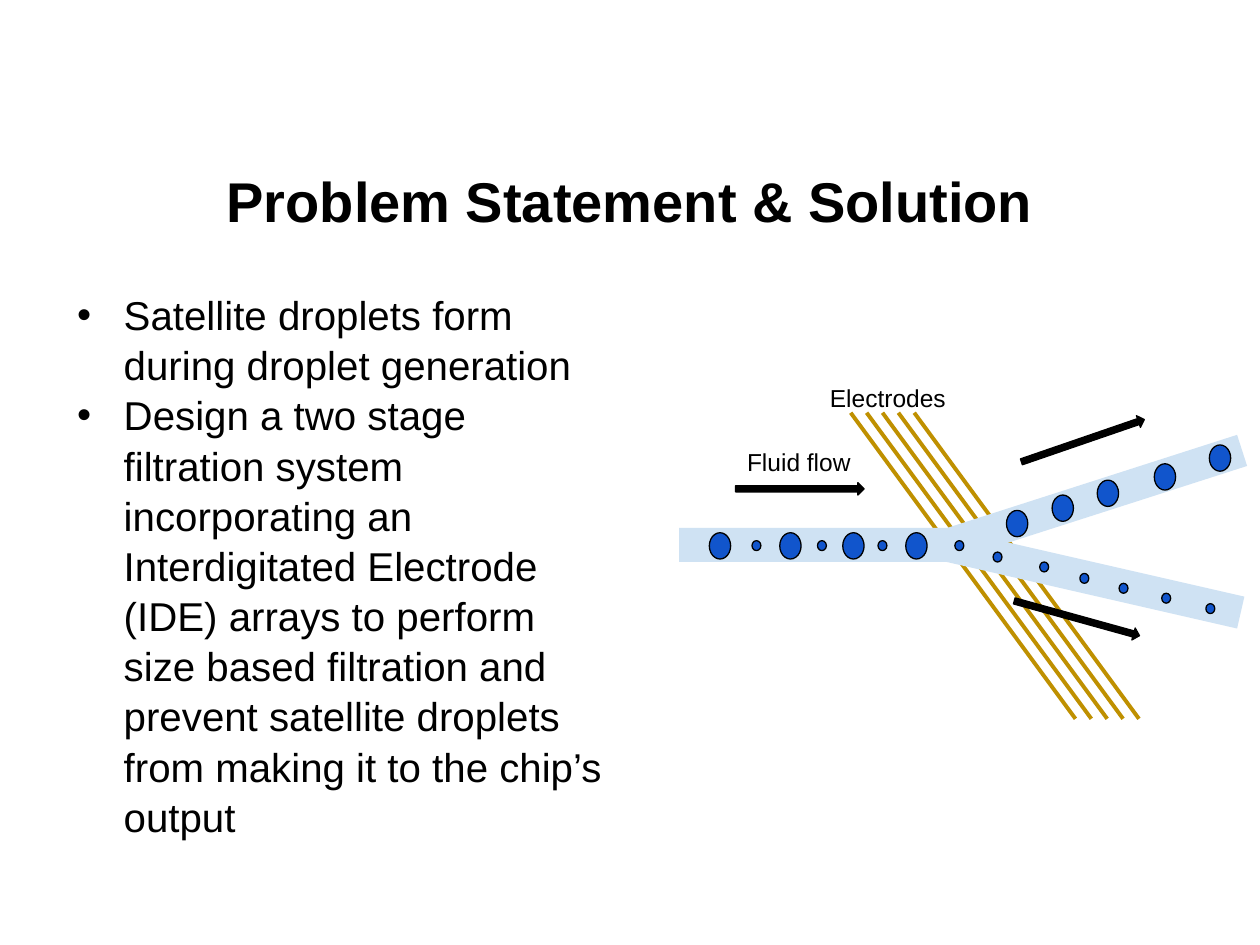
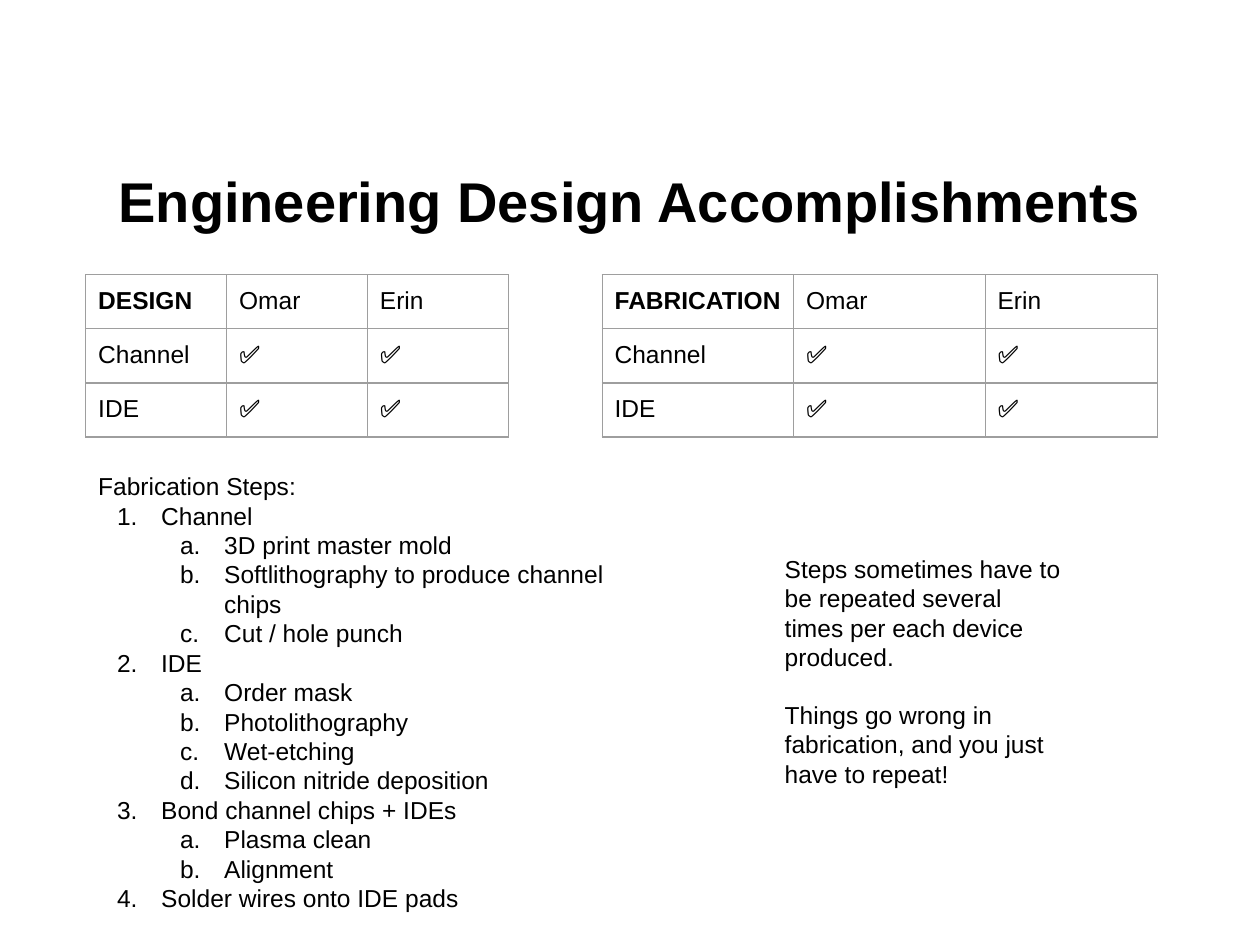
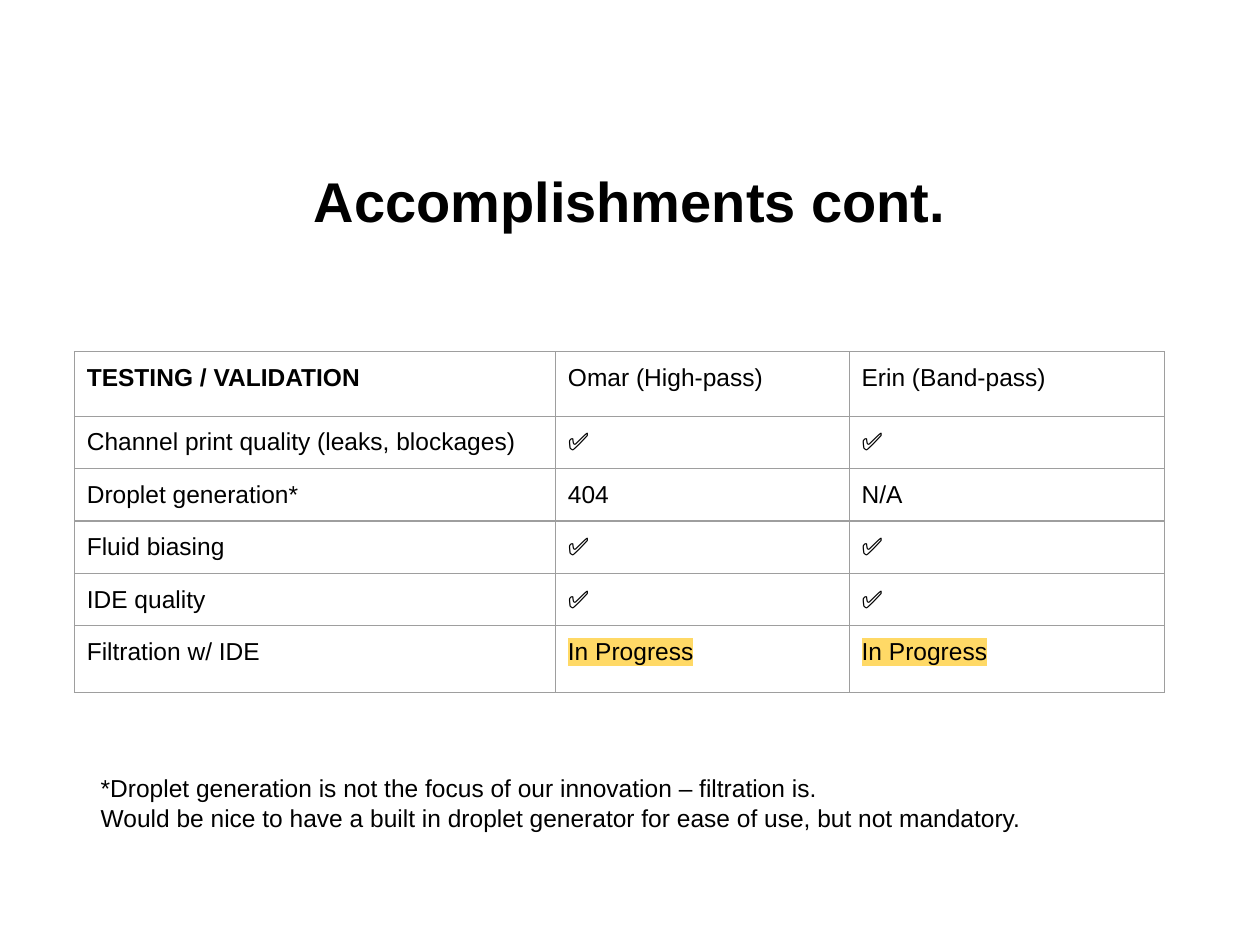
from collections.abc import Sequence
from dataclasses import dataclass
from typing import NamedTuple

from lxml.etree import SubElement
from pptx import Presentation
from pptx.dml.color import RGBColor
from pptx.enum.shapes import MSO_CONNECTOR, MSO_SHAPE
from pptx.enum.text import MSO_ANCHOR, MSO_AUTO_SIZE, PP_ALIGN
from pptx.oxml.ns import qn
from pptx.util import Cm, Pt


@dataclass(frozen=True)
class Theme:
    font: str = "Arial"
    ink: str = "000000"
    channel: str = "CFE2F3"
    droplet: str = "1155CC"
    electrode: str = "BF9000"
    border: str = "9E9E9E"
    highlight: str = "FFD966"
    title_size: float = 32
    body_size: float = 23
    text_size: float = 14
    outline: float = 0.75
    electrode_width: float = 2.25


THEME = Theme()


class Box(NamedTuple):
    """Left, top, width and height in centimetres, and rotation in degrees."""
    left: float
    top: float
    width: float
    height: float
    rotation: float = 0


class Bullet(NamedTuple):
    tag: str
    attribute: str
    value: str
    margin: float
    indent: float
    level: int = 0


class Item(NamedTuple):
    text: str
    bullet: Bullet | None = None
    space_before: float = 0


class TableSpec(NamedTuple):
    left: float
    top: float
    columns: Sequence[float]
    rows: Sequence[float]
    cells: Sequence[Sequence[str]]


DOT = Bullet("a:buChar", "char", "•", 0.97, -0.94)
NUMBER = Bullet("a:buAutoNum", "type", "arabicPeriod", 1.27, -0.89)
LETTER = Bullet("a:buAutoNum", "type", "alphaLcPeriod", 2.54, -0.89, level=1)

TITLE_BOX = Box(1.27, 2.92, 22.86, 2.24)
BODY_BOX = Box(1.27, 5.69, 11.43, 12.88)
TITLE_AND_CONTENT, TITLE_ONLY = 1, 5
INSET = 0.25

CHECK = "✅"
IN_PROGRESS = "In Progress"

CHANNELS = (
    Box(13.69, 10.64, 6.12, 0.69),
    Box(18.97, 9.7, 6.22, 0.66, 342.2),
    Box(18.92, 11.33, 6.17, 0.66, 12.9),
)
FLOW_ARROWS = (
    Box(14.83, 9.73, 2.59, 0.25),
    Box(20.52, 8.76, 2.62, 0.25, 341),
    Box(20.4, 12.34, 2.62, 0.25, 15.5),
)
MAIN_DROPLETS = [(left, 10.74) for left in (14.3, 15.72, 16.99, 18.26)] + [
    (20.29, 10.29), (21.21, 9.98), (22.12, 9.68), (23.27, 9.35), (24.38, 8.97),
]
SATELLITE_DROPLETS = [(left, 10.9) for left in (15.16, 16.48, 17.7, 19.25)] + [
    (20.02, 11.13), (20.96, 11.33), (21.77, 11.56),
    (22.56, 11.76), (23.42, 11.96), (24.31, 12.17),
]
DIAGRAM_LABELS = (
    ("Fluid flow", Box(14.81, 8.76, 4.78, 1.12)),
    ("Electrodes", Box(16.48, 7.47, 3.4, 1.12)),
)
ELECTRODE_COUNT = 5
ELECTRODE_START, ELECTRODE_SPAN, ELECTRODE_STEP = (17.15, 8.32), (4.53, 6.17), 0.32

FABRICATION_STEPS = (
    ("Channel", ("3D print master mold",
                 "Softlithography to produce channel chips",
                 "Cut / hole punch")),
    ("IDE", ("Order mask", "Photolithography", "Wet-etching",
             "Silicon nitride deposition")),
    ("Bond channel chips + IDEs", ("Plasma clean", "Alignment")),
    ("Solder wires onto IDE pads", ()),
)


def color(value: str) -> RGBColor:
    return RGBColor.from_string(value)


def emu(box: Box) -> tuple[Cm, Cm, Cm, Cm]:
    return Cm(box.left), Cm(box.top), Cm(box.width), Cm(box.height)


def add_bullet(paragraph, bullet: Bullet) -> None:
    paragraph.level = bullet.level
    properties = paragraph._p.get_or_add_pPr()
    properties.set("marL", str(Cm(bullet.margin)))
    properties.set("indent", str(Cm(bullet.indent)))
    SubElement(properties, qn("a:buFont")).set("typeface", THEME.font)
    SubElement(properties, qn(bullet.tag)).set(bullet.attribute, bullet.value)


def add_highlight(run, value: str) -> None:
    properties = run._r.get_or_add_rPr()
    highlight = SubElement(properties, qn("a:highlight"))
    SubElement(highlight, qn("a:srgbClr")).set("val", value)
    properties.find(qn("a:solidFill")).addnext(highlight)


def write_text(frame, items: Sequence[Item], *, size: float = THEME.text_size,
               bold: bool = False, align: PP_ALIGN = PP_ALIGN.LEFT,
               line_spacing: float = 1.0, highlight: str | None = None) -> None:
    for index, item in enumerate(items):
        paragraph = frame.add_paragraph() if index else frame.paragraphs[0]
        if item.bullet:
            add_bullet(paragraph, item.bullet)
        paragraph.alignment = align
        paragraph.space_before = Pt(item.space_before)
        paragraph.line_spacing = line_spacing
        run = paragraph.add_run()
        run.text = item.text
        run.font.name = THEME.font
        run.font.size = Pt(size)
        run.font.bold = bold
        run.font.color.rgb = color(THEME.ink)
        if highlight:
            add_highlight(run, highlight)


def set_insets(target) -> None:
    target.margin_left = target.margin_right = Cm(INSET)
    target.margin_top = target.margin_bottom = Cm(INSET)


def fill_placeholder(shape, box: Box, items: Sequence[Item], **text_format) -> None:
    shape.left, shape.top, shape.width, shape.height = emu(box)
    shape.text_frame.auto_size = MSO_AUTO_SIZE.NONE
    write_text(shape.text_frame, items, **text_format)


def add_titled_slide(presentation, title: str, layout: int = TITLE_ONLY):
    slide = presentation.slides.add_slide(presentation.slide_layouts[layout])
    slide.shapes.title.text_frame.vertical_anchor = MSO_ANCHOR.MIDDLE
    fill_placeholder(slide.shapes.title, TITLE_BOX, [Item(title)],
                     size=THEME.title_size, bold=True, align=PP_ALIGN.CENTER)
    return slide


def add_text_box(slide, box: Box, items: Sequence[Item]) -> None:
    frame = slide.shapes.add_textbox(*emu(box)).text_frame
    frame.word_wrap = True
    frame.auto_size = MSO_AUTO_SIZE.SHAPE_TO_FIT_TEXT
    set_insets(frame)
    write_text(frame, items)


def add_figure(slide, kind: MSO_SHAPE, box: Box, fill: str,
               outlined: bool = True) -> None:
    shape = slide.shapes.add_shape(kind, *emu(box))
    shape.rotation = box.rotation
    shape.shadow.inherit = False
    shape.fill.solid()
    shape.fill.fore_color.rgb = color(fill)
    if outlined:
        shape.line.color.rgb = color(THEME.ink)
        shape.line.width = Pt(THEME.outline)
    else:
        shape.line.fill.background()


def add_electrode(slide, index: int) -> None:
    left, top = ELECTRODE_START[0] + index * ELECTRODE_STEP, ELECTRODE_START[1]
    width, height = ELECTRODE_SPAN
    line = slide.shapes.add_connector(MSO_CONNECTOR.STRAIGHT, Cm(left), Cm(top),
                                      Cm(left + width), Cm(top + height))
    line.line.color.rgb = color(THEME.electrode)
    line.line.width = Pt(THEME.electrode_width)
    SubElement(line._element.spPr, qn("a:effectLst"))


def add_borders(cell) -> None:
    properties = cell._tc.get_or_add_tcPr()
    for side in ("L", "R", "T", "B"):
        line = SubElement(properties, qn(f"a:ln{side}"), w=str(Pt(THEME.outline)))
        fill = SubElement(line, qn("a:solidFill"))
        SubElement(fill, qn("a:srgbClr")).set("val", THEME.border)


def add_grid(slide, spec: TableSpec) -> None:
    table = slide.shapes.add_table(
        len(spec.rows), len(spec.columns), Cm(spec.left), Cm(spec.top),
        Cm(sum(spec.columns)), Cm(sum(spec.rows))).table
    table.first_row = table.horz_banding = False
    for column, width in zip(table.columns, spec.columns):
        column.width = Cm(width)
    for row_index, (row, height) in enumerate(zip(table.rows, spec.rows)):
        row.height = Cm(height)
        for column_index, text in enumerate(spec.cells[row_index]):
            cell = row.cells[column_index]
            add_borders(cell)
            cell.fill.background()
            set_insets(cell)
            write_text(cell.text_frame, [Item(text)],
                       bold=row_index == column_index == 0,
                       highlight=THEME.highlight if text == IN_PROGRESS else None)


def add_problem_slide(presentation) -> None:
    slide = add_titled_slide(presentation, "Problem Statement & Solution",
                             TITLE_AND_CONTENT)
    fill_placeholder(slide.placeholders[1], BODY_BOX, [
        Item("Satellite droplets form during droplet generation", DOT),
        Item("Design a two stage filtration system incorporating an "
             "Interdigitated Electrode (IDE) arrays to perform size based "
             "filtration and prevent satellite droplets from making it to "
             "the chip’s output", DOT),
    ], size=THEME.body_size, line_spacing=1.04)
    for index in range(ELECTRODE_COUNT):
        add_electrode(slide, index)
    for box in CHANNELS:
        add_figure(slide, MSO_SHAPE.RECTANGLE, box, THEME.channel, outlined=False)
    for positions, size in ((MAIN_DROPLETS, (0.43, 0.53)),
                            (SATELLITE_DROPLETS, (0.18, 0.2))):
        for position in positions:
            add_figure(slide, MSO_SHAPE.OVAL, Box(*position, *size), THEME.droplet)
    for box in FLOW_ARROWS:
        add_figure(slide, MSO_SHAPE.RIGHT_ARROW, box, THEME.ink)
    for text, box in DIAGRAM_LABELS:
        add_text_box(slide, box, [Item(text)])


def add_design_slide(presentation) -> None:
    slide = add_titled_slide(presentation, "Engineering Design Accomplishments")
    for heading, left, columns in (("DESIGN", 1.73, (2.84,) * 3),
                                   ("FABRICATION", 12.14, (3.86, 3.86, 3.48))):
        add_grid(slide, TableSpec(left, 5.54, columns, (1.09,) * 3, (
            (heading, "Omar", "Erin"),
            ("Channel", CHECK, CHECK),
            ("IDE", CHECK, CHECK),
        )))
    steps = [Item("Fabrication Steps:")]
    for step, details in FABRICATION_STEPS:
        steps.append(Item(step, NUMBER))
        steps.extend(Item(detail, LETTER) for detail in details)
    add_text_box(slide, Box(1.73, 9.25, 10.77, 9.5), steps)
    add_text_box(slide, Box(15.57, 10.92, 6.12, 5.31), [
        Item("Steps sometimes have to be repeated several times per each "
             "device produced."),
        Item("Things go wrong in fabrication, and you just have to repeat!",
             space_before=16),
    ])


def add_testing_slide(presentation) -> None:
    slide = add_titled_slide(presentation, "Accomplishments cont.")
    add_grid(slide, TableSpec(
        1.5, 7.09, (9.7, 5.92, 6.35), (1.3, *(1.02,) * 4, 1.35), (
            ("TESTING / VALIDATION", "Omar (High-pass)", "Erin (Band-pass)"),
            ("Channel print quality (leaks, blockages)", CHECK, CHECK),
            ("Droplet generation*", "404", "N/A"),
            ("Fluid biasing", CHECK, CHECK),
            ("IDE quality", CHECK, CHECK),
            ("Filtration w/ IDE", IN_PROGRESS, IN_PROGRESS),
        )))
    add_text_box(slide, Box(1.78, 15.34, 21.46, 1.7), [
        Item("*Droplet generation is not the focus of our innovation – "
             "filtration is."),
        Item("Would be nice to have a built in droplet generator for ease of "
             "use, but not mandatory."),
    ])


def main() -> None:
    presentation = Presentation()
    presentation.slide_width, presentation.slide_height = Cm(25.4), Cm(19.05)
    add_problem_slide(presentation)
    add_design_slide(presentation)
    add_testing_slide(presentation)
    presentation.save("out.pptx")


if __name__ == "__main__":
    main()
